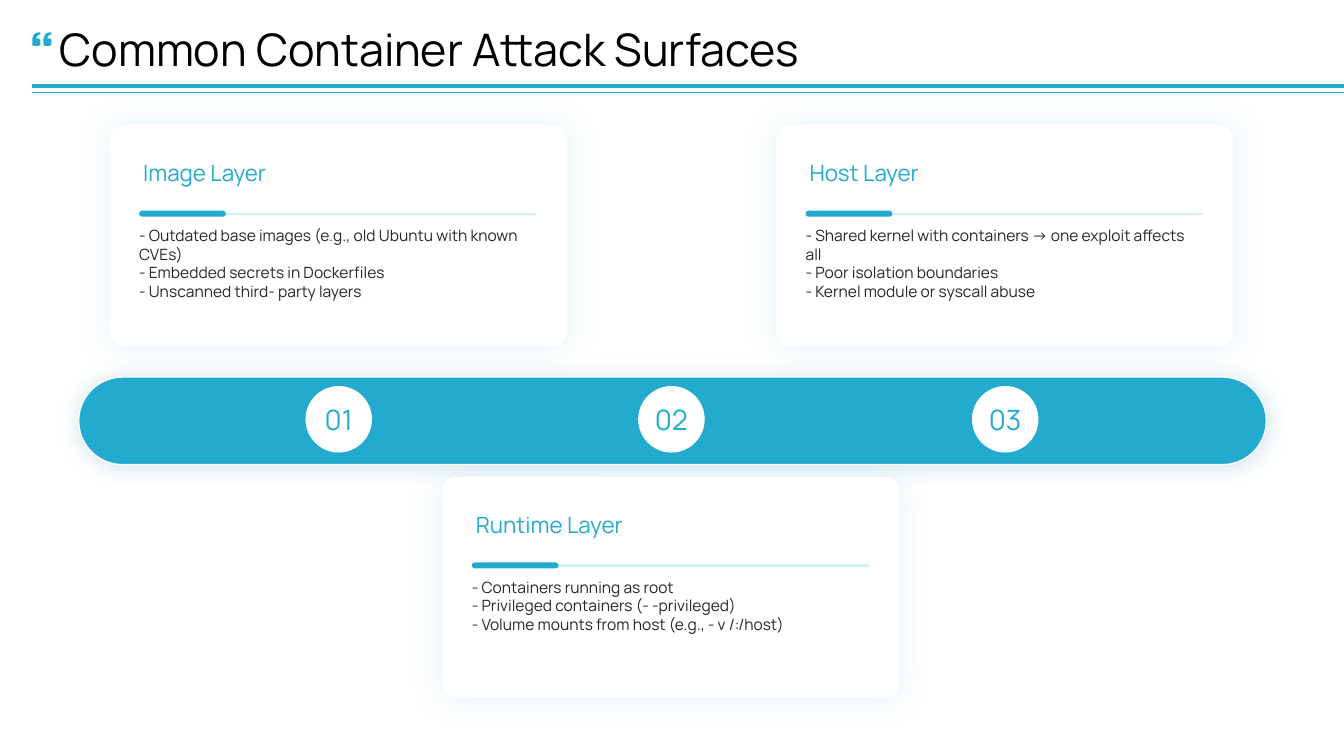
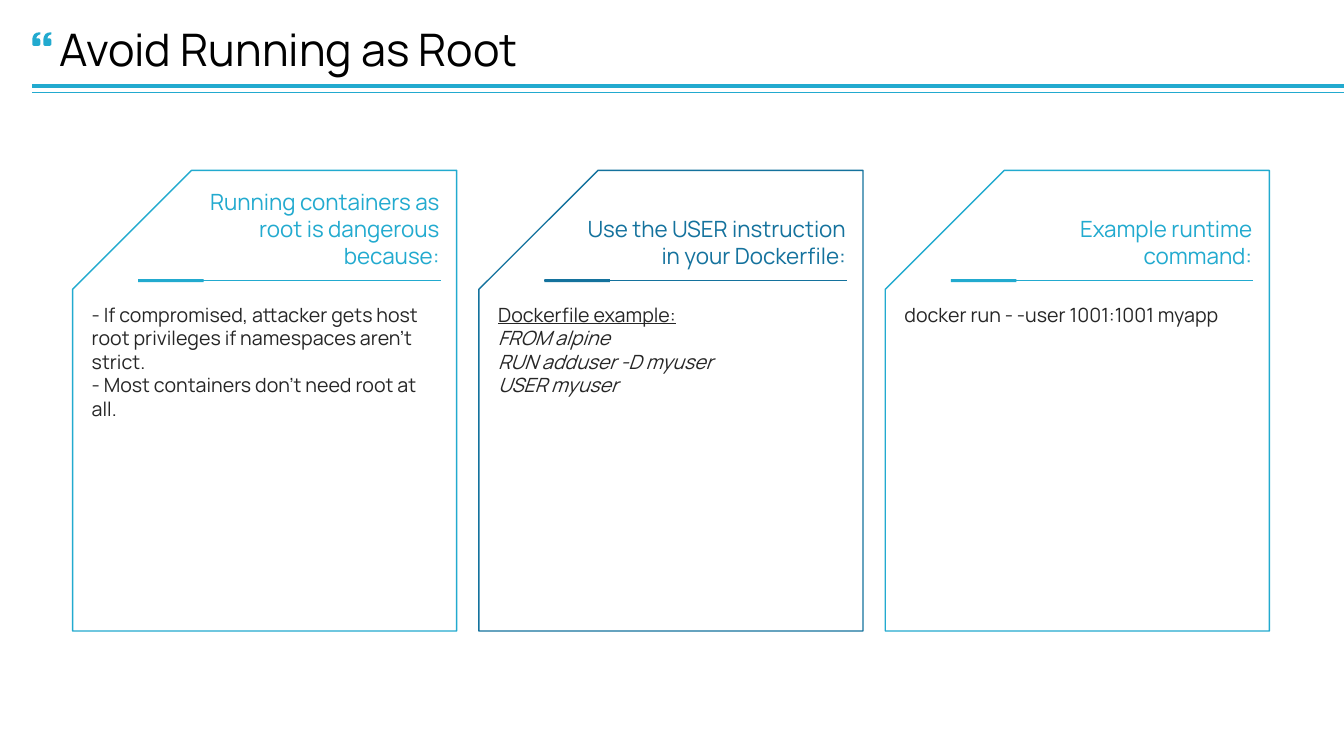
from dataclasses import dataclass, field

from lxml import etree
from pptx import Presentation
from pptx import util as u
from pptx.dml.color import RGBColor
from pptx.enum import shapes, text
from pptx.oxml import ns

EMU_PER_PX = 9144  # 100 px to the inch
FONT = "Manrope"
CYAN, BLUE, PALE = "22AACF", "14729D", "D1EFF7"
DEEP, INK, BLACK, WHITE = "197F9B", "262626", "000000", "FFFFFF"
PAGE_WIDTH, PAGE_HEIGHT = 1333, 750
COMPARISON_LAYOUT = 4
KIND = shapes.MSO_SHAPE
ALIGN = text.PP_ALIGN
ANCHOR = text.MSO_ANCHOR

# One quotation mark, in thousandths of an inch
QUOTE = [(60, 135), (15, 135), (5, 130), (0, 120), (0, 70), (5, 45), (20, 18),
         (45, 4), (80, 0), (80, 20), (60, 28), (46, 42), (40, 60), (60, 60),
         (74, 66), (80, 80), (80, 120), (74, 130)]
QUOTE_STEP = 110


@dataclass(frozen=True)
class Span:
    words: str
    format: dict = field(default_factory=dict)


@dataclass(frozen=True)
class Layer:
    number: str
    heading: str
    items: list[Span]
    top: int


@dataclass(frozen=True)
class Panel:
    heading: str
    lines: list[Span]
    color: str


ITALIC = {"italic": True}

LAYERS = [
    Layer("01", "Image Layer", [
        Span("- Outdated base images (e.g., old Ubuntu with known CVEs)"),
        Span("- Embedded secrets in Dockerfiles"),
        Span("- Unscanned third- party layers")], 124),
    Layer("02", "Runtime Layer", [
        Span("- Containers running as root"),
        Span("- Privileged containers (- -privileged)"),
        Span("- Volume mounts from host (e.g., - v /:/host)")], 473),
    Layer("03", "Host Layer", [
        Span("- Shared kernel with containers → one exploit affects all"),
        Span("- Poor isolation boundaries"),
        Span("- Kernel module or syscall abuse")], 124),
]

PANELS = [
    Panel("Running containers as root is dangerous because:", [
        Span("- If compromised, attacker gets host root privileges "
             "if namespaces aren’t strict."),
        Span("- Most containers don’t need root at all.")], CYAN),
    Panel("Use the USER instruction in your Dockerfile:", [
        Span("Dockerfile example:", {"underline": True}),
        Span("FROM alpine", ITALIC),
        Span("RUN adduser -D myuser", ITALIC),
        Span("USER myuser", ITALIC)], BLUE),
    Panel("Example runtime command:", [
        Span("docker run - -user 1001:1001 myapp")], CYAN),
]


def px(length: int) -> int:
    return u.Emu(length * EMU_PER_PX)


def rgb(color: str) -> RGBColor:
    return RGBColor.from_string(color)


def place(box, left: int, top: int, width: int, height: int) -> None:
    for name, length in {"left": left, "top": top,
                         "width": width, "height": height}.items():
        setattr(box, name, px(length))


def write(box, spans: list[Span], size: float, color: str,
          anchor=ANCHOR.TOP, align=ALIGN.LEFT) -> None:
    """Fill a box with one plain, unbulleted paragraph per span."""
    frame = box.text_frame
    frame_format = {"margin_left": 0, "margin_top": 0, "margin_right": 0,
                    "margin_bottom": 0, "word_wrap": True,
                    "auto_size": text.MSO_AUTO_SIZE.NONE,
                    "vertical_anchor": anchor}
    for name, value in frame_format.items():
        setattr(frame, name, value)
    for index, span in enumerate(spans):
        para = frame.add_paragraph() if index else frame.paragraphs[0]
        properties = para._p.get_or_add_pPr()
        properties.set("marL", "0")
        properties.set("indent", "0")
        etree.SubElement(properties, ns.qn("a:buNone"))
        para.space_before = u.Pt(0)
        para.alignment = align
        run = para.add_run()
        run.text = span.words
        font_format = {"name": FONT, "size": u.Pt(size), "bold": False}
        for name, value in (font_format | span.format).items():
            setattr(run.font, name, value)
        run.font.color.rgb = rgb(color)


def add_label(page, area: tuple[int, int, int, int], words: str,
              color: str, anchor, align=ALIGN.LEFT) -> None:
    box = page.shapes.add_textbox(*map(px, area))
    write(box, [Span(words)], 16, color, anchor, align)


def fill_list(box, area: tuple[int, int, int, int], spans: list[Span],
              size: float) -> None:
    """Move a body placeholder to the front and fill it."""
    box.element.getparent().append(box.element)
    place(box, *area)
    write(box, spans, size, INK)


def add_block(page, kind, area: tuple[int, int, int, int], fill: str,
              line: str | None = None, corner: float | None = None):
    block = page.shapes.add_shape(kind, *map(px, area))
    block.shadow.inherit = False
    block.fill.solid()
    block.fill.fore_color.rgb = rgb(fill)
    if line:
        block.line.color.rgb = rgb(line)
        block.line.width = u.Pt(1)
    else:
        block.line.fill.background()
    if corner is not None:
        block.adjustments[0] = corner
    return block


def add_glow(block, color: str, opacity: int, blur: int) -> None:
    """Put a centred soft shadow around a block."""
    effects = block.element.spPr.find(ns.qn("a:effectLst"))
    shadow = etree.SubElement(effects, ns.qn("a:outerShdw"),
                              blurRad=str(u.Pt(blur)), dist="0", dir="0",
                              algn="ctr", rotWithShape="0")
    tint = etree.SubElement(shadow, ns.qn("a:srgbClr"), val=color)
    etree.SubElement(tint, ns.qn("a:alpha"), val=str(opacity * 1000))


def add_rule(page, left: int, right: int, y: int, color: str, weight: float):
    rule = page.shapes.add_connector(shapes.MSO_CONNECTOR.STRAIGHT,
                                     px(left), y, px(right), y)
    rule.line.color.rgb = rgb(color)
    rule.line.width = u.Pt(weight)
    etree.SubElement(rule.element.spPr, ns.qn("a:effectLst"))
    return rule


def add_underline(page, kind, area: tuple[int, int, int, int], right: int,
                  bar_color: str, rule_color: str, weight: float) -> None:
    """Draw a thin rule that starts under a short thick bar."""
    left, top, _, height = area
    middle = px(top) + px(height) // 2
    rule = add_rule(page, left, right, middle, rule_color, weight)
    corner = 0.5 if kind == KIND.ROUNDED_RECTANGLE else None
    bar = add_block(page, kind, area, bar_color, corner=corner)
    rule.begin_connect(bar, 1)


def add_quote_mark(page) -> None:
    second = [(x + QUOTE_STEP, y) for x, y in QUOTE]
    builder = page.shapes.build_freeform(*QUOTE[0], scale=EMU_PER_PX / 10)
    builder.add_line_segments(QUOTE[1:], close=True)
    builder.move_to(*second[0])
    builder.add_line_segments(second[1:], close=True)
    mark = builder.convert_to_shape(px(32), px(32))
    mark.shadow.inherit = False
    mark.fill.solid()
    mark.fill.fore_color.rgb = rgb(CYAN)
    mark.line.fill.background()


def add_page(deck, title: str):
    """Add a page with the shared header; return it with its body boxes."""
    page = deck.slides.add_slide(deck.slide_layouts[COMPARISON_LAYOUT])
    heading, *bodies = page.placeholders
    place(heading, 59, 25, 1217, 47)
    write(heading, [Span(title)], 32, BLACK, ANCHOR.MIDDLE)
    add_quote_mark(page)
    for y, weight in ((85, 3), (92, 0.75)):
        add_rule(page, 32, PAGE_WIDTH, px(y), CYAN, weight)
    spare = bodies.pop()
    spare.element.getparent().remove(spare.element)
    return page, bodies


def draw_layers(deck) -> None:
    page, bodies = add_page(deck, "Common Container Attack Surfaces")
    band = add_block(page, KIND.ROUNDED_RECTANGLE, (78, 374, 1178, 87),
                     CYAN, WHITE, 0.5)
    add_glow(band, DEEP, 20, 15)
    for index, (layer, body) in enumerate(zip(LAYERS, bodies)):
        left, top = 109 + index * 661 // 2, layer.top
        card = add_block(page, KIND.ROUNDED_RECTANGLE, (left, top, 453, 219),
                         WHITE, corner=0.06)
        add_glow(card, CYAN, 13, 24)
        add_label(page, (left + 33, top + 12, 389, 70), layer.heading,
                  CYAN, ANCHOR.MIDDLE)
        fill_list(body, (left + 29, top + 100, 394, 116), layer.items, 11.1)
        add_underline(page, KIND.ROUNDED_RECTANGLE,
                      (left + 29, top + 85, 86, 6), left + 423,
                      CYAN, PALE, 1.5)
        disc = add_block(page, KIND.OVAL, (left + 194, 383, 66, 66), WHITE)
        write(disc, [Span(layer.number)], 20, CYAN, ANCHOR.MIDDLE,
              ALIGN.CENTER)


def draw_panels(deck) -> None:
    page, bodies = add_page(deck, "Avoid Running as Root")
    for index, (panel, body) in enumerate(zip(PANELS, bodies)):
        left = 72 + index * 403
        outline = add_block(page, KIND.SNIP_1_RECTANGLE,
                            (left, 169, 381, 457), WHITE, panel.color, 0.31)
        outline.element.spPr.get_or_add_xfrm().set("flipH", "1")
        fill_list(body, (left + 19, 300, 346, 274), panel.lines, 14)
        add_label(page, (left + 91, 192, 273, 75), panel.heading,
                  panel.color, ANCHOR.BOTTOM, ALIGN.RIGHT)
        add_underline(page, KIND.RECTANGLE, (left + 65, 277, 65, 3),
                      left + 365, panel.color, panel.color, 1)


def main() -> None:
    deck = Presentation()
    deck.slide_width, deck.slide_height = px(PAGE_WIDTH), px(PAGE_HEIGHT)
    draw_layers(deck)
    draw_panels(deck)
    deck.save("out.pptx")


if __name__ == "__main__":
    main()
